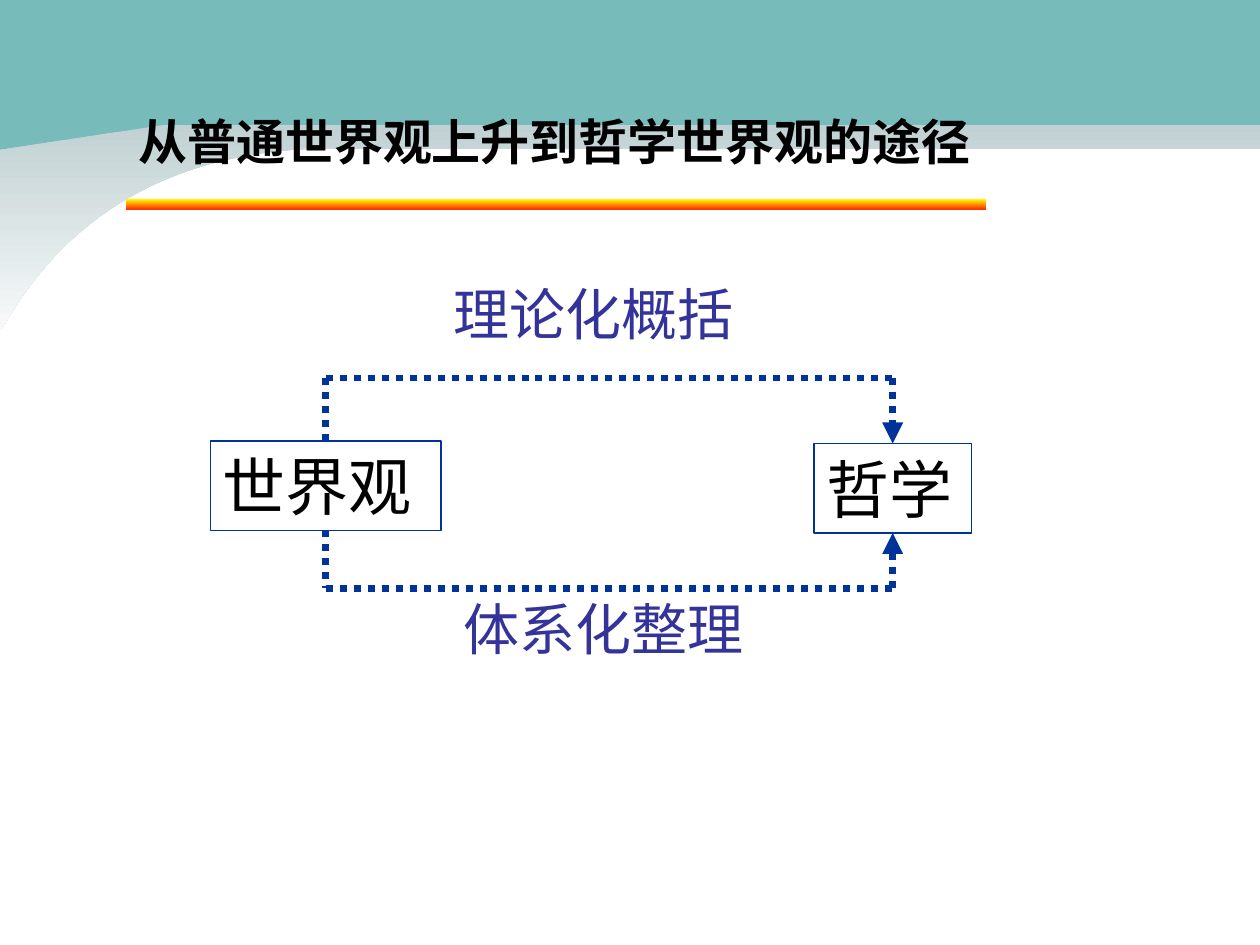
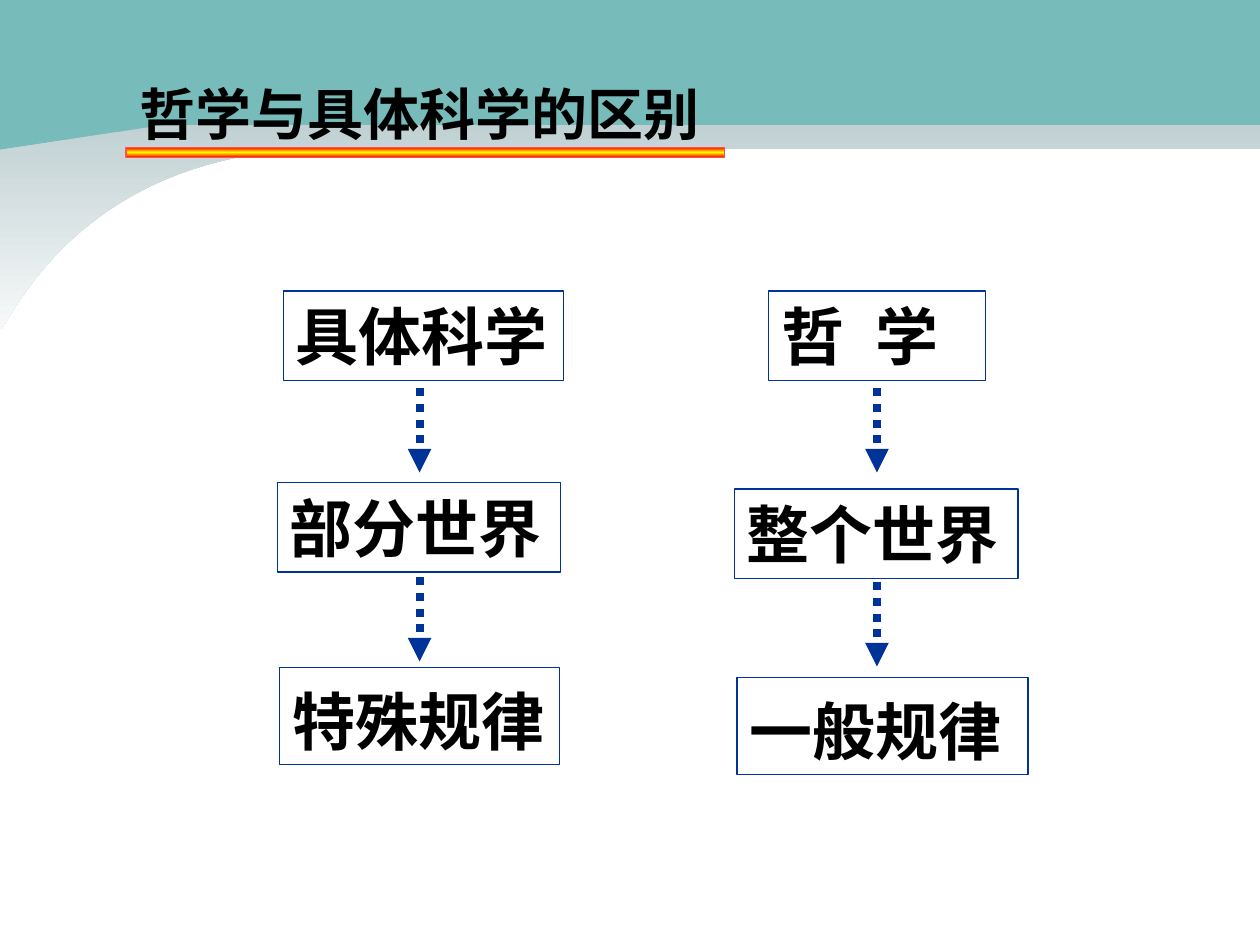
"""Build two slides on how world view, philosophy and the sciences relate."""
from dataclasses import dataclass

from lxml import etree
from pptx import Presentation
from pptx import util as u
from pptx.dml.color import RGBColor
from pptx.enum import dml, shapes, text
from pptx.oxml.ns import qn


@dataclass(frozen=True)
class Theme:
    teal: str = "008080"
    teal_alpha: int = 53
    swoosh: tuple = ((0, "C1D1D3"), (100, "F7F9F9"))
    sunrise: tuple = ((0, "FFFF00"), (100, "FF3300"))
    flame: tuple = ((0, "FF0000"), (50, "FFFF00"), (100, "FF0000"))
    flame_edge: str = "FF5050"
    navy: str = "003399"
    label: str = "333399"
    ink: str = "000000"
    serif: str = "Times New Roman"
    sans: str = "Noto Sans CJK SC"
    title_size: int = 28
    label_size: int = 32
    box_size: int = 36
    thin: float = 0.75
    bracket: float = 4
    arrow: float = 4.5


THEME = Theme()


def color(value):
    return RGBColor.from_string(value)


def fill_gradient(shape, stops):
    """Fill a shape from top to bottom with (percent, colour) stops."""
    shape.fill.gradient()
    shape.fill.gradient_angle = 270
    stop_list = shape.element.spPr.find(qn("a:gradFill")).find(qn("a:gsLst"))
    for old_stop in list(stop_list):
        stop_list.remove(old_stop)
    for percent, value in stops:
        stop = etree.SubElement(stop_list, qn("a:gs"), pos=str(percent * 1000))
        etree.SubElement(stop, qn("a:srgbClr"), val=value)


def curve(start, control_a, control_b, end, steps=40):
    """Return points along a cubic curve, both ends included."""
    points = []
    for step in range(steps + 1):
        t = step / steps
        weights = ((1 - t) ** 3, 3 * t * (1 - t) ** 2, 3 * t * t * (1 - t), t ** 3)
        corners = (start, control_a, control_b, end)
        points.append(tuple(sum(w * c[axis] for w, c in zip(weights, corners))
                            for axis in (0, 1)))
    return points


def add_outline(page, points):
    """Add a closed borderless freeform through points in inches."""
    first, *rest = [(u.Inches(x), u.Inches(y)) for x, y in points]
    builder = page.shapes.build_freeform(*first)
    builder.add_line_segments(rest, close=True)
    outline = builder.convert_to_shape()
    outline.shadow.inherit = False
    outline.line.fill.background()
    return outline


def add_backdrop(page):
    """Draw the teal band and the grey swoosh below it."""
    band = add_outline(page, [(0, 0)] + curve(
        (0, 2.02), (0.42, 1.54), (0.82, 0.93), (2.53, 1.02)) + [(10, 1.01), (10, 0)])
    band.fill.solid()
    band.fill.fore_color.rgb = color(THEME.teal)
    tint = band.element.spPr.find(qn("a:solidFill")).find(qn("a:srgbClr"))
    etree.SubElement(tint, qn("a:alpha"), val=str(THEME.teal_alpha * 1000))

    swoosh = add_outline(page, [(0, 1.19)] + curve(
        (0, 2.61), (0.06, 2.65), (0.58, 1.11), (2.78, 1.18))
        + [(10, 1.18), (10, 0.99), (1.31, 0.99)])
    fill_gradient(swoosh, THEME.swoosh)


def add_page(deck):
    page = deck.slides.add_slide(deck.slide_layouts[6])
    add_backdrop(page)
    return page


def add_rectangle(page, left, top, width, height, edge=None):
    """Add a plain rectangle, outlined only when an edge colour is given."""
    box = page.shapes.add_shape(shapes.MSO_SHAPE.RECTANGLE, *map(
        u.Inches, (left, top, width, height)))
    box.shadow.inherit = False
    box.fill.background()
    if edge:
        box.line.color.rgb = color(edge)
        box.line.width = u.Pt(THEME.thin)
    else:
        box.line.fill.background()
    return box


def add_rule(page, left, top, width, stops, edge=None):
    fill_gradient(add_rectangle(page, left, top, width, 0.08, edge), stops)


def write(shape, wording, size, ink, font, bold=False, centered=False):
    """Put one formatted paragraph in a shape and return it."""
    frame = shape.text_frame
    frame.word_wrap = True
    frame.vertical_anchor = text.MSO_ANCHOR.MIDDLE
    frame.text = wording
    para = frame.paragraphs[0]
    para.alignment = text.PP_ALIGN.CENTER if centered else text.PP_ALIGN.LEFT
    span = para.runs[0]
    span.font.size = u.Pt(size)
    span.font.bold = bold
    span.font.color.rgb = color(ink)
    span.font.name = font
    etree.SubElement(span.font._element, qn("a:ea"), typeface=THEME.sans)
    return para


def add_text(page, wording, left, top, width, height, size, ink, **style):
    box = page.shapes.add_textbox(*map(u.Inches, (left, top, width, height)))
    write(box, wording, size, ink, THEME.serif, **style)


def add_box(page, wording, left, top, width, height=0.71,
            font=THEME.sans, bold=True):
    """Add an outlined box with its term."""
    box = add_rectangle(page, left, top, width, height, THEME.navy)
    return box, write(box, wording, THEME.box_size, THEME.ink, font, bold)


def add_dotted_line(page, start, end, weight, arrow=False):
    """Add a dotted connector, with an arrowhead at its end if wanted."""
    line = page.shapes.add_connector(shapes.MSO_CONNECTOR.STRAIGHT, *map(
        u.Inches, (*start, *end)))
    line.line.color.rgb = color(THEME.navy)
    line.line.width = u.Pt(weight)
    line.line.dash_style = dml.MSO_LINE.ROUND_DOT
    if arrow:
        etree.SubElement(line.line._get_or_add_ln(), qn("a:tailEnd"), type="triangle")
    etree.SubElement(line.element.spPr, qn("a:effectLst"))
    return line


def add_bracket(page, source, target, level, side):
    """Join two boxes by a dotted path running along a level."""
    left_x, right_x = ((box.left + box.width / 2) / u.Inches(1)
                       for box in (source, target))
    middle = 3.86
    stub = add_dotted_line(page, (left_x, middle), (left_x, level), THEME.bracket)
    stub.begin_connect(source, side)
    add_dotted_line(page, (left_x, level), (right_x, level), THEME.bracket)
    head = add_dotted_line(page, (right_x, level), (right_x, middle),
                           THEME.bracket, arrow=True)
    head.end_connect(target, side)


def build_path_page(deck):
    """Show the two ways from world view to philosophy."""
    page = add_page(deck)
    add_rule(page, 1, 1.58, 6.83, THEME.sunrise)
    add_text(page, "从普通世界观上升到哲学世界观的途径", 1, 0.83, 8.08, 0.57,
             THEME.title_size, THEME.ink, bold=True)
    plain = {"font": THEME.serif, "bold": False}
    world_view, _ = add_box(page, "世界观", 1.67, 3.5, 1.83, **plain)
    philosophy, _ = add_box(page, "哲学", 6.46, 3.52, 1.25, **plain)
    add_bracket(page, world_view, philosophy, level=3, side=0)
    add_bracket(page, world_view, philosophy, level=4.67, side=2)
    for wording, left, top in (("理论化概括", 3.5, 2.17), ("体系化整理", 3.58, 4.67)):
        add_text(page, wording, left, top, 3.08, 0.63, THEME.label_size, THEME.label)


def build_difference_page(deck):
    """Compare the sciences with philosophy in two columns."""
    page = add_page(deck)
    add_rule(page, 1, 1.17, 4.75, THEME.flame, THEME.flame_edge)
    add_text(page, "哲学与具体科学的区别", 0.83, 0.58, 5, 0.63,
             THEME.label_size, THEME.ink, bold=True, centered=True)

    add_box(page, "具体科学", 2.25, 2.31, 2.22)
    _, philosophy = add_box(page, "哲 学", 6.1, 2.31, 1.72)
    philosophy.runs[0].font._element.set("spc", "500")
    add_box(page, "部分世界", 2.2, 3.83, 2.25)
    add_box(page, "整个世界", 5.83, 3.88, 2.25)
    for wording, left, top, width in (("特殊规律", 2.22, 5.3, 2.22),
                                      ("一般规律", 5.85, 5.38, 2.31)):
        _, para = add_box(page, wording, left, top, width, 0.77)
        para.line_spacing = 1.1

    for x, tops in ((3.33, (3.08, 4.58)), (6.96, (3.08, 4.62))):
        for top in tops:
            add_dotted_line(page, (x, top), (x, top + 0.67), THEME.arrow, arrow=True)


def main():
    deck = Presentation()
    deck.slide_width, deck.slide_height = u.Inches(10), u.Inches(7.5)
    build_path_page(deck)
    build_difference_page(deck)
    deck.save("out.pptx")


if __name__ == "__main__":
    main()
